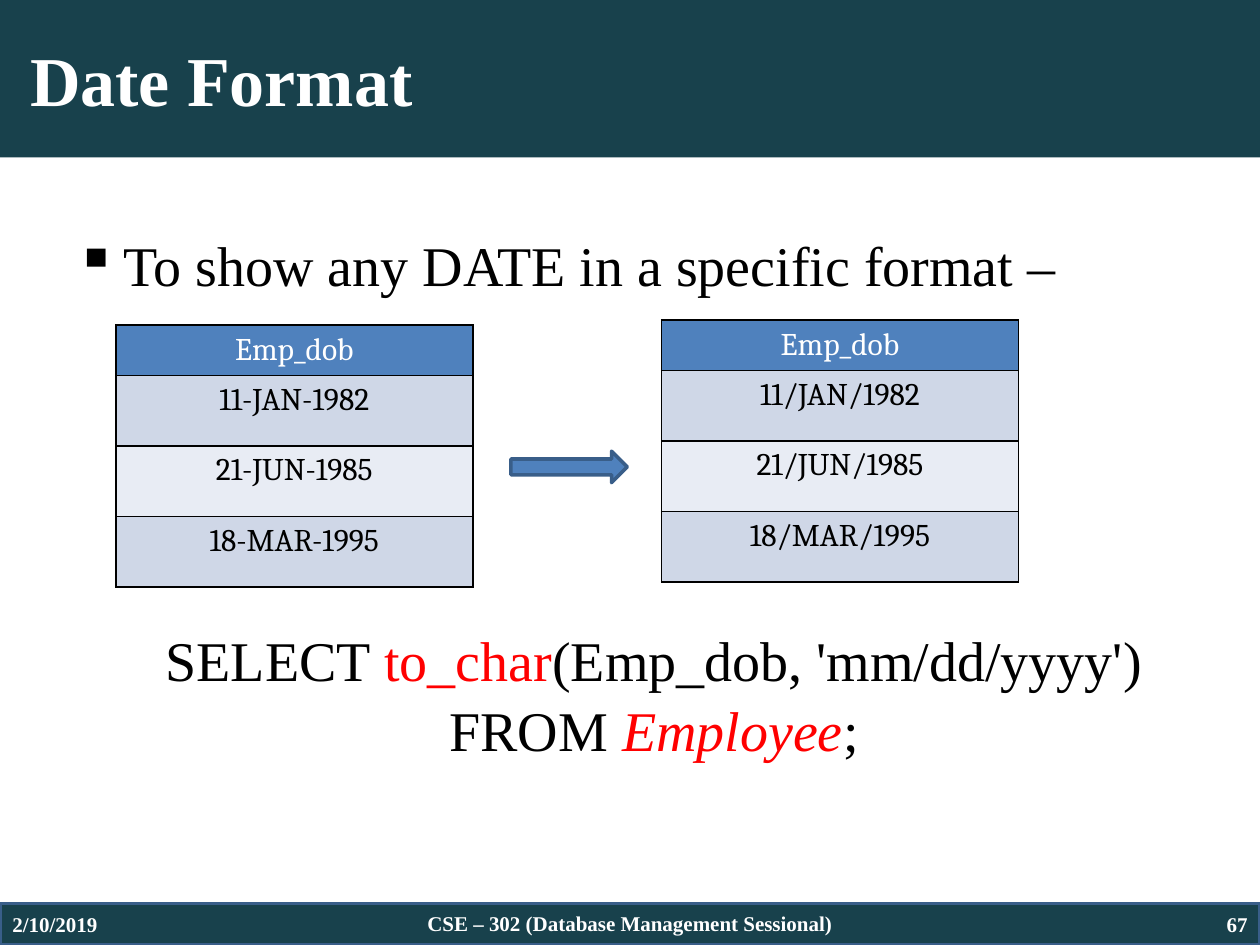
from dataclasses import dataclass

from lxml import etree
from pptx import Presentation
from pptx.dml.color import RGBColor
from pptx.enum.shapes import MSO_SHAPE
from pptx.enum.text import MSO_ANCHOR, PP_ALIGN
from pptx.oxml.ns import qn
from pptx.util import Pt

RECTANGLE = MSO_SHAPE.RECTANGLE
RIGHT_ARROW = MSO_SHAPE.RIGHT_ARROW
TOP, MIDDLE = MSO_ANCHOR.TOP, MSO_ANCHOR.MIDDLE
LEFT, CENTER, RIGHT = PP_ALIGN.LEFT, PP_ALIGN.CENTER, PP_ALIGN.RIGHT

COLORS = {
    "band": "18414C",
    "white": "FFFFFF",
    "black": "000000",
    "red": "FF0000",
    "blue": "4F81BD",
    "outline": "395E89",
    "row_dark": "CFD7E7",
    "row_light": "E8ECF4",
}
SERIF = "Times New Roman"
TITLE_FORMAT = {"name": SERIF, "size": Pt(40), "bold": True}
BODY_FORMAT = {"name": SERIF, "size": Pt(32)}
FOOTER_FORMAT = {"name": SERIF, "size": Pt(12), "bold": True}
CELL_FORMAT = {"name": "Cambria", "size": Pt(18)}
HEADER_HEIGHT, ROW_HEIGHT = 28, 40.3
BODY_INDENT = 27.4


@dataclass
class Area:
    left: float
    top: float
    width: float
    height: float

    def lengths(self) -> tuple:
        return Pt(self.left), Pt(self.top), Pt(self.width), Pt(self.height)


@dataclass
class Span:
    text: str
    color: str = "black"
    italic: bool = False


@dataclass
class FooterItem:
    text: str
    area: Area
    align: PP_ALIGN


@dataclass
class DateTable:
    left: float
    top: float
    dates: list[str]


FOOTER_AREA = Area(0, 516.2, 720, 23.8)
FOOTER_ITEMS = [
    FooterItem("67", Area(552, 516.2, 168, 23.8), RIGHT),
    FooterItem("2/10/2019", Area(0, 516.2, 168, 23.8), LEFT),
    FooterItem("CSE – 302 (Database Management Sessional)", Area(204, 516.2, 312, 23), CENTER),
]
DATE_TABLES = [
    DateTable(66.2, 185.8, ["11-JAN-1982", "21-JUN-1985", "18-MAR-1995"]),
    DateTable(378, 182.9, ["11/JAN/1982", "21/JUN/1985", "18/MAR/1995"]),
]
QUERY = [
    Span("SELECT "),
    Span("to_char", "red"),
    Span("(Emp_dob, 'mm/dd/yyyy') FROM "),
    Span("Employee", "red", True),
    Span(";"),
]


def rgb(color: str) -> RGBColor:
    return RGBColor.from_string(COLORS[color])


def set_values(target, values: dict) -> None:
    for name, value in values.items():
        setattr(target, name, value)


def write_spans(para, spans: list[Span], font_values: dict, align: PP_ALIGN) -> None:
    para.alignment = align
    for span in spans:
        run = para.add_run()
        run.text = span.text
        set_values(run.font, font_values)
        run.font.color.rgb = rgb(span.color)
        if span.italic:
            run.font.italic = True


def add_filled_shape(page, kind: MSO_SHAPE, area: Area, fill: str, outline: str | None = None):
    shape = page.shapes.add_shape(kind, *area.lengths())
    shape.shadow.inherit = False
    shape.fill.solid()
    shape.fill.fore_color.rgb = rgb(fill)
    if outline:
        shape.line.color.rgb = rgb(outline)
        shape.line.width = Pt(2)
    else:
        shape.line.fill.background()
    return shape


def add_text_frame(page, area: Area, anchor: MSO_ANCHOR):
    frame = page.shapes.add_textbox(*area.lengths()).text_frame
    set_values(frame, {"word_wrap": True, "vertical_anchor": anchor})
    return frame


def add_title(page) -> None:
    band = add_filled_shape(page, RECTANGLE, Area(0, 0, 720, 90), "band")
    frame = band.text_frame
    set_values(frame, {"margin_left": Pt(17.2), "vertical_anchor": MIDDLE})
    write_spans(frame.paragraphs[0], [Span("Date Format", "white")], TITLE_FORMAT, LEFT)


def set_bullet(para, symbol: str) -> None:
    properties = para._p.get_or_add_pPr()
    set_indent(para, -BODY_INDENT)
    color = etree.SubElement(properties, qn("a:buClr"))
    etree.SubElement(color, qn("a:srgbClr"), val=COLORS["black"])
    etree.SubElement(properties, qn("a:buChar"), char=symbol)


def set_indent(para, first_line: float) -> None:
    properties = para._p.get_or_add_pPr()
    properties.set("marL", str(int(Pt(BODY_INDENT))))
    properties.set("indent", str(int(Pt(first_line))))


def add_body(page) -> None:
    frame = add_text_frame(page, Area(36, 126, 648, 356.4), TOP)
    intro = frame.paragraphs[0]
    set_bullet(intro, "▪")
    write_spans(intro, [Span("To show any DATE in a specific format –")], BODY_FORMAT, LEFT)
    query = frame.add_paragraph()
    set_indent(query, 0)
    write_spans(query, QUERY, BODY_FORMAT, CENTER)
    query.space_before = Pt(185.4)
    for para in (intro, query):
        para.line_spacing = 1.05


def set_borders(cell) -> None:
    properties = cell._tc.get_or_add_tcPr()
    for position, side in enumerate(("lnL", "lnR", "lnT", "lnB")):
        border = etree.Element(qn(f"a:{side}"), w=str(int(Pt(1))))
        fill = etree.SubElement(border, qn("a:solidFill"))
        etree.SubElement(fill, qn("a:srgbClr"), val=COLORS["black"])
        properties.insert(position, border)


def add_date_table(page, spec_table: DateTable) -> None:
    texts = ["Emp_dob", *spec_table.dates]
    height = HEADER_HEIGHT + ROW_HEIGHT * len(spec_table.dates)
    area = Area(spec_table.left, spec_table.top, 204, height)
    table = page.shapes.add_table(len(texts), 1, *area.lengths()).table
    for index, text in enumerate(texts):
        is_header = index == 0
        table.rows[index].height = Pt(HEADER_HEIGHT if is_header else ROW_HEIGHT)
        cell = table.cell(index, 0)
        cell.vertical_anchor = MIDDLE if is_header else TOP
        row_fill = "row_dark" if index % 2 else "row_light"
        cell.fill.solid()
        cell.fill.fore_color.rgb = rgb("blue" if is_header else row_fill)
        set_borders(cell)
        span = Span(text, "white" if is_header else "black")
        write_spans(cell.text_frame.paragraphs[0], [span], CELL_FORMAT, CENTER)


def main() -> None:
    deck = Presentation()
    set_values(deck, {"slide_width": Pt(720), "slide_height": Pt(540)})
    page = deck.slides.add_slide(deck.slide_layouts[6])
    add_filled_shape(page, RECTANGLE, FOOTER_AREA, "band", "outline")
    add_title(page)
    add_body(page)
    for item in FOOTER_ITEMS:
        frame = add_text_frame(page, item.area, MIDDLE)
        write_spans(frame.paragraphs[0], [Span(item.text, "white")], FOOTER_FORMAT, item.align)
    for date_table in DATE_TABLES:
        add_date_table(page, date_table)
    add_filled_shape(page, RIGHT_ARROW, Area(292, 257.8, 66.5, 18), "blue", "outline")
    deck.save("out.pptx")


if __name__ == "__main__":
    main()
